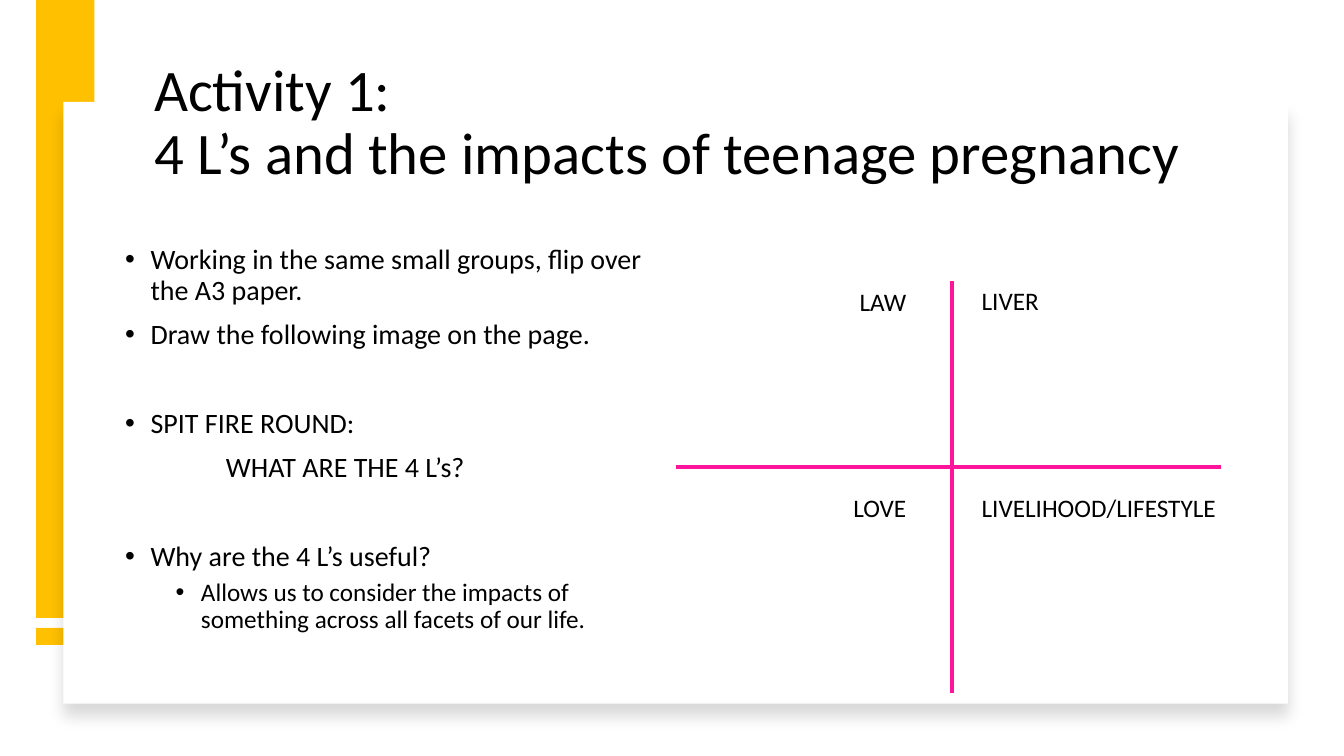
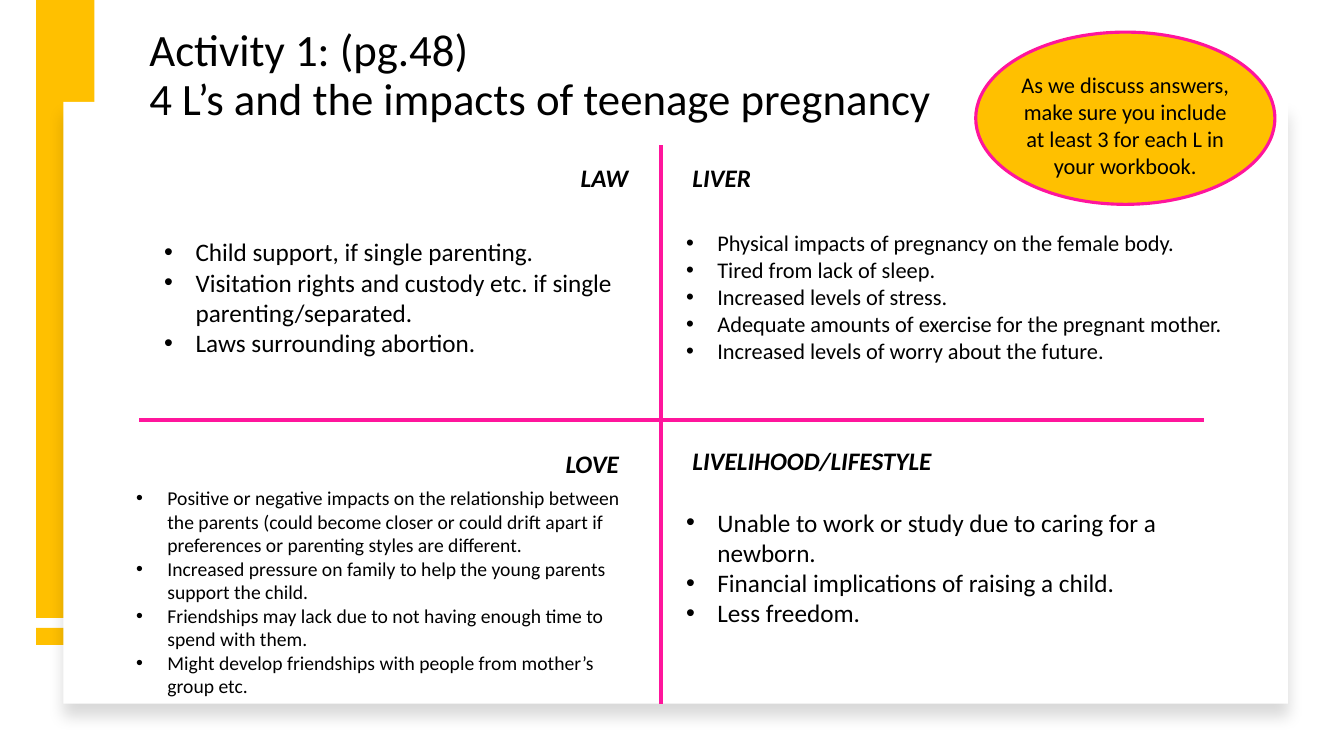
from dataclasses import dataclass

from lxml import etree
from pptx import Presentation
from pptx import util as u
from pptx.dml import color
from pptx.enum import shapes, text
from pptx.oxml import ns

Cm, Pt = u.Cm, u.Pt
LEFT, MID, RIGHT = text.PP_ALIGN.LEFT, text.PP_ALIGN.CENTER, text.PP_ALIGN.RIGHT


@dataclass(frozen=True)
class Theme:
    font: str = "Calibri"
    ink: str = "000000"
    gold: str = "FFC000"
    pink: str = "FF159C"
    white: str = "FFFFFF"
    head: int = 42
    small_head: int = 32
    lead: int = 20
    label: int = 18
    note: int = 16
    fine: int = 14


def rgb(code):
    return color.RGBColor.from_string(code)


def node(parent, tag, **attrs):
    return etree.SubElement(parent, ns.qn(tag), attrs)


class Deck:
    def __init__(self, theme):
        self.theme = theme
        self.prs = Presentation()
        self.prs.slide_width, self.prs.slide_height = Cm(33.87), Cm(19.05)
        self.slide = None

    # Slide with its gold bands and raised white panel
    def start(self, layout):
        self.slide = self.prs.slides.add_slide(self.prs.slide_layouts[layout])
        gold, rect = self.theme.gold, shapes.MSO_SHAPE.RECTANGLE
        self.shape(rect, (0.91, 15.82, 1.47, 0.43), gold)
        self.shape(rect, (0.91, 0, 1.47, 15.57), gold)
        panel = self.shape(rect, (1.6, 2.57, 30.86, 15.16), self.theme.white)
        self.shade(panel)
        # Keep placeholders in front of the panel
        tree = self.slide.shapes._spTree
        for item in self.slide.placeholders:
            tree.append(item._element)

    def shape(self, kind, box, fill, line=None, width=0):
        item = self.slide.shapes.add_shape(kind, *map(Cm, box))
        item.shadow.inherit = False
        item.fill.solid()
        item.fill.fore_color.rgb = rgb(fill)
        if line:
            item.line.color.rgb = rgb(line)
            item.line.width = Pt(width)
        else:
            item.line.fill.background()
        return item

    def shade(self, item):
        effects = item._element.spPr.find(ns.qn("a:effectLst"))
        outer = node(effects, "a:outerShdw", blurRad=str(Pt(11)), dist=str(Pt(10)),
                     dir="5400000", algn="t", rotWithShape="0")
        tint = node(outer, "a:srgbClr", val=self.theme.ink)
        node(tint, "a:alpha", val="15000")

    # Paragraphs, written run by run
    def para(self, frame, words, size, align=LEFT, strong=False, bullet=False,
             left=0, hang=0, before=0, space=1.0, level=0):
        para = frame.paragraphs[0]
        if para.runs:
            para = frame.add_paragraph()
        props = para._p.get_or_add_pPr()
        props.set("marL", str(Cm(left)))
        props.set("indent", str(-Cm(hang)))
        if bullet:
            node(props, "a:buFont", typeface="Arial")
            node(props, "a:buChar", char="•")
        else:
            node(props, "a:buNone")
        para.level, para.alignment = level, align
        para.line_spacing, para.space_before = space, Pt(before)
        for i, part in enumerate(words.split("\n")):
            if i:
                para.add_line_break()
                node(para._p[-1], "a:rPr", sz=str(size * 100))
            run = para.add_run()
            run.text = part
            font = run.font
            font.name, font.size = self.theme.font, Pt(size)
            font.bold = font.italic = strong
            font.color.rgb = rgb(self.theme.ink)

    def holder(self, index, box, anchor):
        item = self.slide.placeholders[index]
        item.left, item.top, item.width, item.height = map(Cm, box)
        frame = item.text_frame
        frame.word_wrap, frame.vertical_anchor = True, anchor
        frame.auto_size = text.MSO_AUTO_SIZE.NONE
        return frame

    def title(self, words, box, size):
        frame = self.holder(0, box, text.MSO_ANCHOR.BOTTOM)
        self.para(frame, words, size, space=0.9)

    def body(self, box, rows):
        frame = self.holder(1, box, text.MSO_ANCHOR.MIDDLE)
        for words, style in rows:
            self.para(frame, words, space=0.9, **style)

    def box(self, box):
        frame = self.slide.shapes.add_textbox(*map(Cm, box)).text_frame
        frame.word_wrap = True
        return frame

    def label(self, words, x, y, width=5.31, align=LEFT, strong=False):
        self.para(self.box((x, y, width, 1.02)), words, self.theme.label, align, strong)

    def points(self, box, size, rows):
        frame = self.box(box)
        for words in rows:
            self.para(frame, words, size, bullet=True, left=0.79, hang=0.79)

    # Pink cross that makes the four fields
    def cross(self, x, y, left, top, right, base):
        for ends in ((x, top, x, base), (left, y, right, y)):
            line = self.slide.shapes.add_connector(
                shapes.MSO_CONNECTOR.STRAIGHT, *map(Cm, ends))
            line.line.color.rgb = rgb(self.theme.pink)
            line.line.width = Pt(3)
            node(line._element.spPr, "a:effectLst")

    def bubble(self, words, box):
        item = self.shape(shapes.MSO_SHAPE.OVAL, box, self.theme.gold, self.theme.pink, 2.25)
        frame = item.text_frame
        frame.word_wrap, frame.vertical_anchor = True, text.MSO_ANCHOR.MIDDLE
        frame.margin_left = frame.margin_right = frame.margin_bottom = 0
        frame.margin_top = Cm(0.33)
        self.para(frame, words, self.theme.note, MID)


def task(deck):
    look = deck.theme
    deck.start(1)
    deck.title("Activity 1: \n4 L’s and the impacts of teenage pregnancy",
               (3.63, 1.09, 27.36, 3.76), look.head)
    item = dict(size=look.lead, bullet=True, left=0.64, hang=0.64, before=10)
    part = dict(item, before=42)
    deck.body((2.9, 5.56, 14.35, 11.05), [
        ("Working in the same small groups, flip over the A3 paper.", dict(item, before=0)),
        ("Draw the following image on the page.", item),
        ("SPIT FIRE ROUND:", part),
        ("WHAT ARE THE 4 L’s?", dict(size=look.lead, left=2.54, before=10)),
        ("Why are the 4 L’s useful?", part),
        ("Allows us to consider the impacts of something across all facets of our life.",
         dict(item, size=look.label, left=1.91, before=5, level=1)),
    ])
    deck.cross(24, 11.76, 17.04, 7.09, 30.78, 17.45)
    deck.label("LAW", 17.78, 7.09, align=RIGHT)
    deck.label("LIVER", 24.49, 7.06)
    deck.label("LOVE", 17.78, 12.27, align=RIGHT)
    deck.label("LIVELIHOOD/LIFESTYLE", 24.49, 12.27, 6.45)


def review(deck):
    look = deck.theme
    deck.start(5)
    deck.title("Activity 1: (pg.48)\n4 L’s and the impacts of teenage pregnancy",
               (3.51, 0, 27.36, 3.28), look.small_head)
    deck.cross(16.66, 10.59, 3.51, 3.66, 30.35, 17.73)
    deck.label("LAW", 10.77, 3.96, align=RIGHT, strong=True)
    deck.label("LIVER", 17.2, 3.96, strong=True)
    deck.label("LOVE", 10.54, 11.18, align=RIGHT, strong=True)
    deck.label("LIVELIHOOD/LIFESTYLE", 17.2, 11.1, 6.81, strong=True)
    # Answers for each field
    deck.points((3.89, 5.84, 12.22, 3.33), look.label, [
        "Child support, if single parenting.",
        "Visitation rights and custody etc. if single parenting/separated.",
        "Laws surrounding abortion.",
    ])
    deck.points((17.04, 5.66, 14.3, 3.68), look.note, [
        "Physical impacts of pregnancy on the female body.",
        "Tired from lack of sleep.",
        "Increased levels of stress.",
        "Adequate amounts of exercise for the pregnant mother.",
        "Increased levels of worry about the future.",
    ])
    deck.points((3.18, 12.12, 12.9, 5.64), look.fine, [
        "Positive or negative impacts on the relationship between the parents (could become "
        "closer or could drift apart if preferences or parenting styles are different.",
        "Increased pressure on family to help the young parents support the child.",
        "Friendships may lack due to not having enough time to spend with them.",
        "Might develop friendships with people from mother’s group etc.",
    ])
    deck.points((17.04, 12.65, 14.3, 3.33), look.label, [
        "Unable to work or study due to caring for a newborn.",
        "Financial implications of raising a child.",
        "Less freedom.",
    ])
    deck.bubble("As we discuss answers, make sure you include at least 3 for each L "
                "in your workbook.", (24.59, 0.81, 7.54, 4.34))


def main():
    deck = Deck(Theme())
    task(deck)
    review(deck)
    deck.prs.save("out.pptx")


if __name__ == "__main__":
    main()
